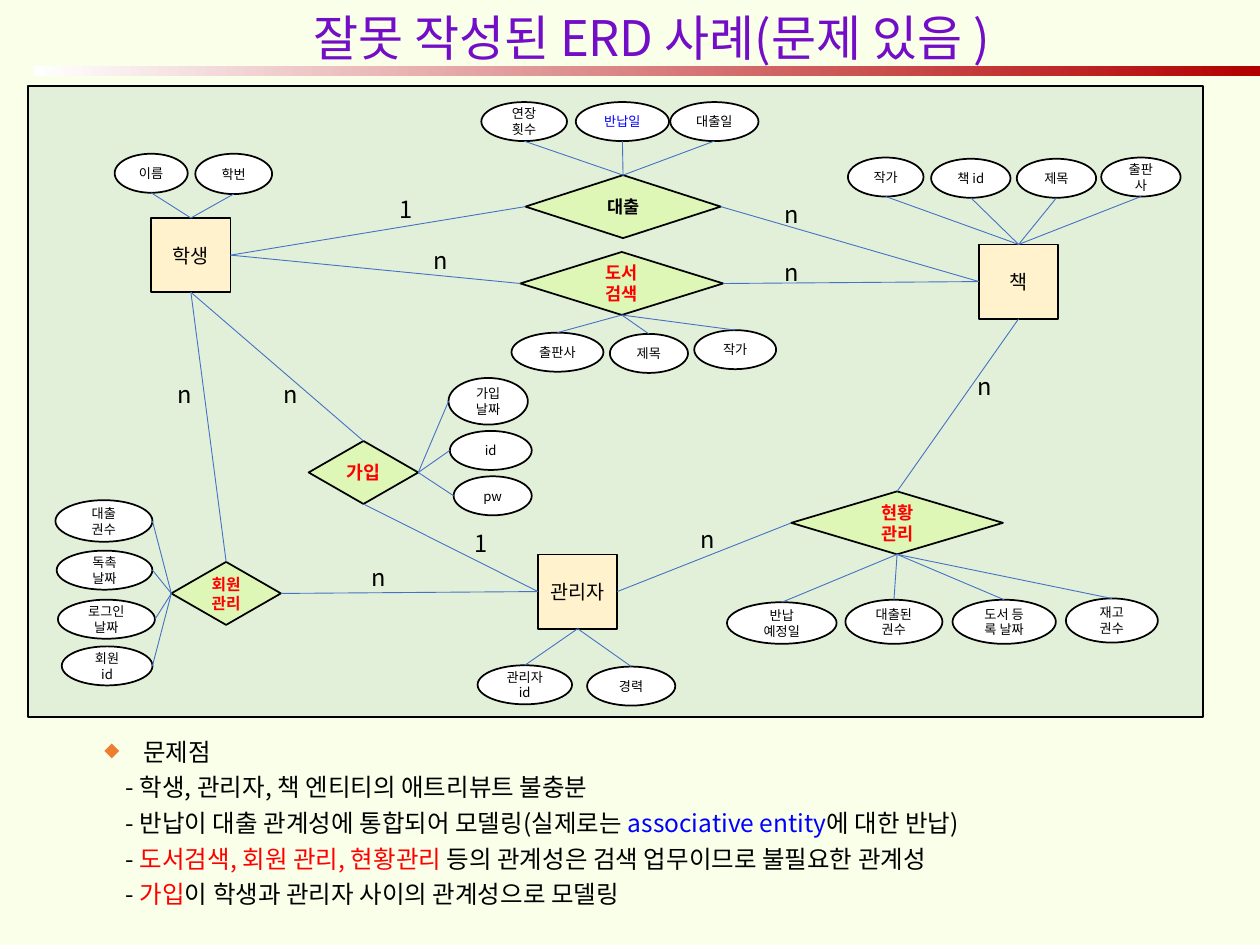
from lxml import etree
from pptx import Presentation
from pptx.dml.color import RGBColor
from pptx.enum.shapes import MSO_CONNECTOR, MSO_SHAPE
from pptx.enum.text import MSO_ANCHOR, PP_ALIGN
from pptx.oxml.ns import qn
from pptx.util import Inches, Pt

RECT, DIAMOND, ELLIPSE = MSO_SHAPE.RECTANGLE, MSO_SHAPE.DIAMOND, MSO_SHAPE.OVAL
STRAIGHT = MSO_CONNECTOR.STRAIGHT
MIDDLE, TOP_ANCHOR = MSO_ANCHOR.MIDDLE, MSO_ANCHOR.TOP
CENTER, LEFT_ALIGN = PP_ALIGN.CENTER, PP_ALIGN.LEFT
TOP, LEFT, BOTTOM, RIGHT = range(4)

FONT = "Noto Sans CJK KR"
BLACK, WHITE = RGBColor(0, 0, 0), RGBColor(255, 255, 255)
RED, BLUE = RGBColor(255, 0, 0), RGBColor(0, 0, 255)
PURPLE, DARK_RED = RGBColor(0x73, 0x0D, 0xC7), RGBColor(0xB2, 0, 0)
PAPER, PANEL = RGBColor(0xFA, 0xFF, 0xEA), RGBColor(0xE2, 0xF0, 0xD9)
CREAM, LIME = RGBColor(0xFF, 0xF2, 0xCC), RGBColor(0xDE, 0xF6, 0xB6)
LINK = RGBColor(0x44, 0x72, 0xC4)

TITLE = "잘못 작성된 ERD 사례(문제 있음 )"
ENTITY_SIZE = (0.63, 0.59)
ENTITIES = {"학생": (1.2, 1.73), "책": (7.77, 1.94), "관리자": (4.27, 4.4)}
# name: text, left, top, width, font size, colour
RELATIONS = {
    "도서검색": ("도서\n검색", 4.13, 2, 1.61, 10, RED),
    "대출": ("대출", 4.17, 1.39, 1.55, 10, BLACK),
    "회원관리": ("회원\n관리", 1.36, 4.46, 0.87, 9, RED),
    "현황관리": ("현황\n관리", 6.28, 3.9, 1.68, 10, RED),
    "가입": ("가입", 2.45, 3.5, 0.87, 10.5, RED),
}
RELATION_HEIGHT = 0.5
# owner, side of the owner, side of the attributes, [(text, left, top, width, height)]
ATTRIBUTES = [
    ("학생", TOP, BOTTOM, [("이름", 0.91, 1.22, 0.58, 0.31), ("학번", 1.55, 1.22, 0.61, 0.32)]),
    ("관리자", BOTTOM, TOP, [("관리자 id", 3.79, 5.28, 0.75, 0.31), ("경력", 4.66, 5.29, 0.7, 0.31)]),
    ("대출", TOP, BOTTOM, [("연장\n횟수", 3.82, 0.81, 0.68, 0.31), ("반납일", 4.57, 0.81, 0.74, 0.31),
                         ("대출일", 5.32, 0.81, 0.7, 0.31)]),
    ("책", TOP, BOTTOM, [("작가", 6.73, 1.25, 0.6, 0.31), ("책 id", 7.39, 1.26, 0.63, 0.31),
                        ("제목", 8.07, 1.26, 0.63, 0.31), ("출판사", 8.74, 1.25, 0.63, 0.31)]),
    ("도서검색", BOTTOM, TOP, [("출판사", 4.06, 2.64, 0.73, 0.31), ("제목", 4.84, 2.65, 0.62, 0.31),
                           ("작가", 5.51, 2.62, 0.65, 0.31)]),
    ("가입", RIGHT, LEFT, [("가입 날짜", 3.56, 3, 0.63, 0.37), ("id", 3.57, 3.42, 0.65, 0.31),
                         ("pw", 3.6, 3.78, 0.62, 0.31)]),
    ("회원관리", LEFT, RIGHT, [("대출\n권수", 0.44, 3.97, 0.77, 0.33), ("독촉 날짜", 0.45, 4.37, 0.76, 0.31),
                           ("로그인 날짜", 0.46, 4.76, 0.77, 0.31), ("회원\nid", 0.49, 5.13, 0.72, 0.31)]),
    ("현황관리", BOTTOM, TOP, [("반납\n예정일", 5.77, 4.78, 0.87, 0.33), ("대출된\n권수", 6.71, 4.76, 0.77, 0.35),
                           ("도서 등\n록 날짜", 7.56, 4.76, 0.82, 0.35), ("재고 권수", 8.46, 4.75, 0.73, 0.35)]),
]
HIGHLIGHTS = {"반납일": BLUE}
# from, side, to, side, cardinality, left and top of its label
LINKS = [
    ("학생", BOTTOM, "회원관리", TOP, "n", 1.31, 2.97),
    ("회원관리", RIGHT, "관리자", LEFT, "n", 2.85, 4.42),
    ("학생", RIGHT, "대출", LEFT, "1", 3.07, 1.5),
    ("학생", RIGHT, "도서검색", LEFT, "n", 3.34, 1.9),
    ("대출", RIGHT, "책", LEFT, "n", 6.13, 1.54),
    ("도서검색", RIGHT, "책", LEFT, "n", 6.13, 2),
    ("현황관리", TOP, "책", BOTTOM, "n", 7.66, 2.9),
    ("관리자", RIGHT, "현황관리", LEFT, "n", 5.46, 4.12),
    ("학생", BOTTOM, "가입", TOP, "n", 2.15, 2.97),
    ("가입", BOTTOM, "관리자", LEFT, "1", 3.67, 4.15),
]
PROBLEMS = [
    [("문제점", BLACK)],
    [("- 학생, 관리자, 책 엔티티의 애트리뷰트 불충분", BLACK)],
    [("- 반납이 대출 관계성에 통합되어 모델링(실제로는 ", BLACK), ("associative entity", BLUE),
     ("에 대한 반납)", BLACK)],
    [("- ", BLACK), ("도서검색, 회원 관리, 현황관리 ", RED),
     ("등의 관계성은 검색 업무이므로 불필요한 관계성", BLACK)],
    [("- ", BLACK), ("가입", RED), ("이 학생과 관리자 사이의 관계성으로 모델링", BLACK)],
]


def write(sp, paragraphs, size, bold=False, align=CENTER, anchor=MIDDLE):
    """Fill a shape with paragraphs, each a list of (text, colour) runs."""
    tf = sp.text_frame
    tf.word_wrap, tf.vertical_anchor = True, anchor
    for i, runs in enumerate(paragraphs):
        p = tf.paragraphs[0] if i == 0 else tf.add_paragraph()
        p.alignment = align
        for text, color in runs:
            r = p.add_run()
            r.text = text
            for key, value in {"name": FONT, "size": Pt(size), "bold": bold}.items():
                setattr(r.font, key, value)
            r.font.color.rgb = color
            etree.SubElement(r.font._element, qn("a:ea"), typeface=FONT)
    return tf


def add_box(kind, box, fill=None):
    """Add a preset shape with a black outline and no shadow."""
    sp = shapes.add_shape(kind, *map(Inches, box))
    sp.shadow.inherit = False
    if fill is not None:
        sp.fill.solid()
        sp.fill.fore_color.rgb = fill
    sp.line.color.rgb, sp.line.width = BLACK, Pt(1)
    return sp


def add_node(kind, box, fill, text, size, color=BLACK, bold=False):
    """Add a diagram node with one paragraph per line of text."""
    sp = add_box(kind, box, fill)
    write(sp, [[(line, color)] for line in text.split("\n")], size, bold)
    return sp


def add_text(box, paragraphs, size, **layout):
    """Add a text box."""
    return write(shapes.add_textbox(*map(Inches, box)), paragraphs, size, **layout)


def site(sp, side):
    """Return the middle of one side of a shape."""
    dx, dy = {TOP: (1, 0), LEFT: (0, 1), BOTTOM: (1, 2), RIGHT: (2, 1)}[side]
    return sp.left + sp.width * dx // 2, sp.top + sp.height * dy // 2


def connect(start, start_side, end, end_side):
    """Draw a thin line between two sides, attached to entities and relations."""
    line = shapes.add_connector(STRAIGHT, *site(start, start_side), *site(end, end_side))
    line.begin_connect(start, start_side)
    if end.auto_shape_type != ELLIPSE:
        line.end_connect(end, end_side)
    line.line.color.rgb, line.line.width = LINK, Pt(0.5)
    etree.SubElement(line._element.spPr, qn("a:effectLst"))


def add_bullet(p):
    """Give a paragraph a small orange diamond bullet."""
    pPr = p._p.get_or_add_pPr()
    color = etree.SubElement(pPr, qn("a:buClr"))
    etree.SubElement(color, qn("a:srgbClr"), val="ED7D31")
    etree.SubElement(pPr, qn("a:buSzPct"), val="80000")
    etree.SubElement(pPr, qn("a:buChar"), char="◆")


prs = Presentation()
prs.slide_width, prs.slide_height = Inches(10), Inches(7.5)
s = prs.slides.add_slide(prs.slide_layouts[6])
shapes = s.shapes
s.background.fill.solid()
s.background.fill.fore_color.rgb = PAPER

add_box(RECT, (0.22, 0.68, 9.33, 5.01), PANEL)
nodes = {}
for name, place in ENTITIES.items():
    nodes[name] = add_node(RECT, place + ENTITY_SIZE, CREAM, name, 11.2)
for name, (text, left, top, width, size, color) in RELATIONS.items():
    sp = add_node(DIAMOND, (left, top, width, RELATION_HEIGHT), LIME, text, size, color, True)
    sp.text_frame.margin_left = sp.text_frame.margin_right = 0
    nodes[name] = sp

for owner, owner_side, side, items in ATTRIBUTES:
    for text, *box in items:
        sp = add_node(ELLIPSE, box, WHITE, text, 7.5, HIGHLIGHTS.get(text, BLACK))
        connect(nodes[owner], owner_side, sp, side)
for start, start_side, end, end_side, label, left, top in LINKS:
    connect(nodes[start], start_side, nodes[end], end_side)
    add_text((left, top, 0.36, 0.33), [[(label, BLACK)]], 13.5, align=LEFT_ALIGN, anchor=TOP_ANCHOR)

add_text((0.92, 0.05, 8.5, 0.48), [[(TITLE, PURPLE)]], 28)
bar = add_box(RECT, (0.27, 0.52, 9.73, 0.08))
bar.line.fill.background()
bar.fill.gradient()
bar.fill.gradient_angle = 0
for stop, position, color in zip(bar.fill.gradient_stops, (0, 1), (WHITE, DARK_RED)):
    stop.position, stop.color.rgb = position, color

tf = add_text((0.23, 5.8, 9.77, 1.53), PROBLEMS, 14, align=LEFT_ALIGN, anchor=TOP_ANCHOR)
for i, p in enumerate(tf.paragraphs):
    p.space_before = Pt(3.5)
    margin, indent = (0.67, 0) if i else (0.81, -0.31)
    pPr = p._p.get_or_add_pPr()
    pPr.set("marL", str(Inches(margin)))
    pPr.set("indent", str(Inches(indent)))
add_bullet(tf.paragraphs[0])

prs.save("out.pptx")
